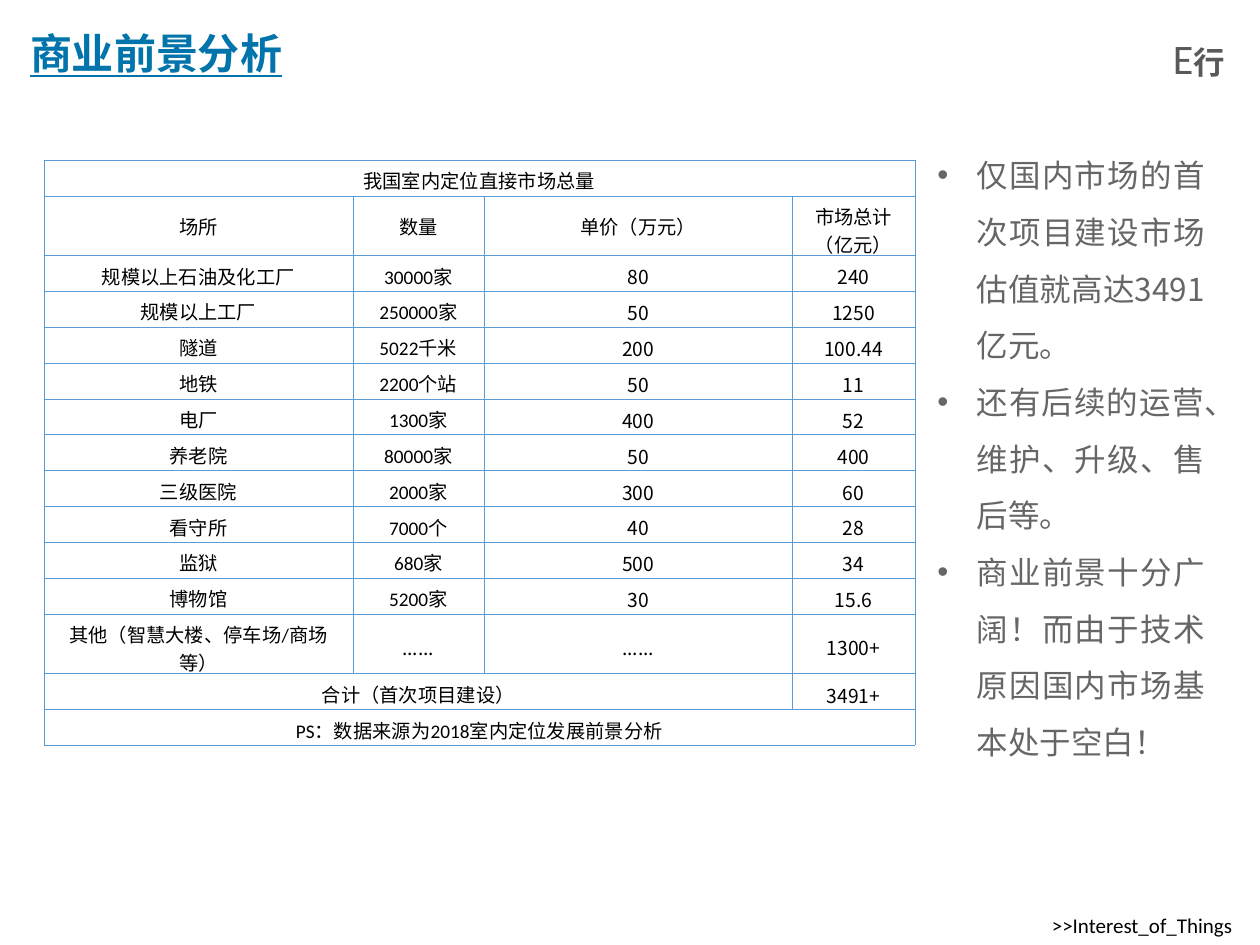
from pptx import Presentation, util as u
from pptx.dml.color import RGBColor
from pptx.enum import text as t
from pptx.oxml import parse_xml
from pptx.oxml.ns import nsdecls, qn
from lxml import etree

Pt = u.Pt

theme = dict(
    latin="Calibri", cjk="Noto Sans CJK SC",
    black="000000", blue="0174AB", dark="595959", gray="666666", rule="5B9BD5",
    small=11, note=12, body=18, head=24, line=0.23,
)

title = "商业前景分析"
brand = ("E", "行")
foot = ">>Interest_of_Things"
points = [
    "仅国内市场的首次项目建设市场估值就高达3491亿元。",
    "还有后续的运营、维护、升级、售后等。",
    "商业前景十分广阔！而由于技术原因国内市场基本处于空白！",
]
rows = [
    ("我国室内定位直接市场总量", None, None, None),
    ("场所", "数量", "单价（万元）", "市场总计（亿元）"),
    ("规模以上石油及化工厂", "30000家", "80", "240"),
    ("规模以上工厂", "250000家", "50", "1250"),
    ("隧道", "5022千米", "200", "100.44"),
    ("地铁", "2200个站", "50", "11"),
    ("电厂", "1300家", "400", "52"),
    ("养老院", "80000家", "50", "400"),
    ("三级医院", "2000家", "300", "60"),
    ("看守所", "7000个", "40", "28"),
    ("监狱", "680家", "500", "34"),
    ("博物馆", "5200家", "30", "15.6"),
    ("其他（智慧大楼、停车场/商场等）", "......", "......", "1300+"),
    ("合计（首次项目建设）", None, None, "3491+"),
    ("PS：数据来源为2018室内定位发展前景分析", None, None, None),
]
widths = [176.4, 74.9, 176.4, 69.8]
low, tall = 20.5, 34
tall_rows = {1, 12}


def write(para, words, size, color, font="latin", bold=False, line=False, align=None):
    run = para.add_run()
    run.text = words
    face = run.font
    face.name, face.size = theme[font], Pt(theme[size])
    face.bold, face.underline = bold, line
    face.color.rgb = RGBColor.from_string(theme[color])
    if font == "cjk":
        east = etree.Element(qn("a:ea"), typeface=theme[font])
        run._r.rPr.find(qn("a:latin")).addnext(east)
    if align is not None:
        para.alignment = align


def box(slide, left, top, width, height):
    frame = slide.shapes.add_textbox(Pt(left), Pt(top), Pt(width), Pt(height)).text_frame
    frame.word_wrap = True
    return frame


def bullet(para):
    props = para._p.get_or_add_pPr()
    props.set("marL", str(Pt(22.5)))
    props.set("indent", str(-Pt(22.5)))
    para.line_spacing = 1.5
    tint = etree.SubElement(props, qn("a:buClr"))
    etree.SubElement(tint, qn("a:srgbClr"), val=theme["gray"])
    etree.SubElement(props, qn("a:buFont"), typeface="Arial")
    etree.SubElement(props, qn("a:buChar"), char="•")


def border(cell):
    props = cell._tc.get_or_add_tcPr()
    for i, side in enumerate(("lnL", "lnR", "lnT", "lnB")):
        props.insert(i, parse_xml(
            f'<a:{side} {nsdecls("a")} w="{Pt(theme["line"])}"><a:solidFill>'
            f'<a:srgbClr val="{theme["rule"]}"/></a:solidFill></a:{side}>'))


def market(slide):
    high = [tall if i in tall_rows else low for i in range(len(rows))]
    grid = slide.shapes.add_table(
        len(rows), len(widths), Pt(25.2), Pt(91.4), Pt(sum(widths)), Pt(sum(high))).table
    grid.first_row = grid.horz_banding = False
    for col, width in zip(grid.columns, widths):
        col.width = Pt(width)
    for r, row in enumerate(rows):
        grid.rows[r].height = Pt(high[r])
        for c, words in enumerate(row):
            cell = grid.cell(r, c)
            cell.fill.background()
            border(cell)
            if words is None:
                continue
            plain = words.strip(".+0123456789") == ""
            cell.vertical_anchor = t.MSO_ANCHOR.MIDDLE
            cell.margin_left = cell.margin_right = Pt(7.2)
            cell.margin_top = Pt(3.6)
            cell.margin_bottom = Pt(0 if plain else 3.6)
            write(cell.text_frame.paragraphs[0], words, "small", "black",
                  font="cjk" if plain else "latin", align=t.PP_ALIGN.CENTER)
        start = 0
        for c in range(1, len(row) + 1):
            if c == len(row) or row[c] is not None:
                if c - start > 1:
                    grid.cell(r, start).merge(grid.cell(r, c - 1))
                start = c


def main():
    deck = Presentation()
    deck.slide_width, deck.slide_height = Pt(720), Pt(540)
    slide = deck.slides.add_slide(deck.slide_layouts[6])

    write(box(slide, 594, 517.7, 129.6, 21.6).paragraphs[0], foot, "note", "black")
    para = box(slide, 663.1, 15.1, 76.3, 36).paragraphs[0]
    write(para, brand[0], "head", "dark")
    write(para, brand[1], "body", "dark", bold=True)
    write(box(slide, 10.1, 12.2, 307.4, 36).paragraphs[0], title, "head", "blue",
          font="cjk", bold=True, line=True)
    market(slide)

    frame = box(slide, 528.5, 74.9, 167, 417.6)
    for i, words in enumerate(points):
        para = frame.add_paragraph() if i else frame.paragraphs[0]
        bullet(para)
        write(para, words, "body", "gray", font="cjk", align=t.PP_ALIGN.JUSTIFY)
    deck.save("out.pptx")


if __name__ == "__main__":
    main()
